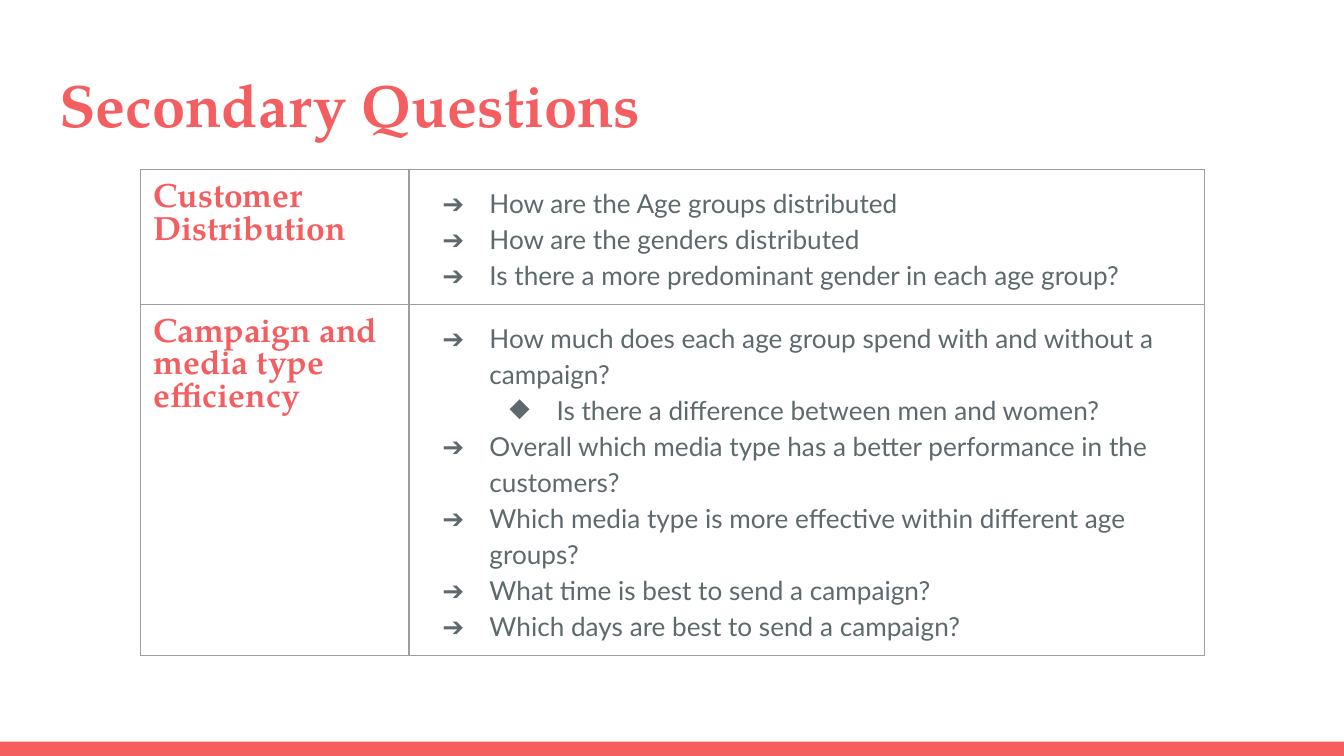
from lxml import etree
from pptx import Presentation
from pptx.dml.color import RGBColor
from pptx.enum import shapes, text
from pptx.oxml import ns
from pptx.util import Cm, Pt

HUES = {"coral": "F55E61", "slate": "5E696C", "rule": "9E9E9E"}
HEAD = {"name": "TeX Gyre Pagella", "bold": True}
BODY = {"name": "Lato", "bold": False, "size": Pt(14)}
PAD = Cm(0.25)
MARKS = ["➔", "◆"]
ROWS = [
    ("Customer Distribution", 2.55, [
        (0, "How are the Age groups distributed"),
        (0, "How are the genders distributed"),
        (0, "Is there a more predominant gender in each age group?"),
    ]),
    ("Campaign and media type efficiency", 6.63, [
        (0, "How much does each age group spend with and without a campaign?"),
        (1, "Is there a difference between men and women?"),
        (0, "Overall which media type has a better performance in the customers?"),
        (0, "Which media type is more effective within different age groups?"),
        (0, "What time is best to send a campaign?"),
        (0, "Which days are best to send a campaign?"),
    ]),
]


def write(para, words, form, hue, space=1.0):
    """Add a formatted run and set the line spacing."""
    para.line_spacing = space
    run = para.add_run()
    run.text = words
    for key, value in form.items():
        setattr(run.font, key, value)
    run.font.color.rgb = RGBColor.from_string(HUES[hue])


def add(parent, tag, **attrs):
    """Append a drawing element to an XML parent."""
    node = etree.SubElement(parent, ns.qn(tag))
    for key, value in attrs.items():
        node.set(key, str(value))
    return node


deck = Presentation()
deck.slide_width, deck.slide_height = Cm(25.4), Cm(14.29)
slide = deck.slides.add_slide(deck.slide_layouts[5])

# Bottom bar
bar = slide.shapes.add_shape(
    shapes.MSO_SHAPE.RECTANGLE, 0, Cm(14.02), deck.slide_width, Cm(0.27))
bar.shadow.inherit = False
bar.fill.solid()
bar.fill.fore_color.rgb = RGBColor.from_string(HUES["coral"])
bar.line.fill.background()

# Title
title = slide.shapes.title
title.left, title.top = Cm(0.87), Cm(1.09)
title.width, title.height = Cm(23.67), Cm(1.73)
frame = title.text_frame
FRAME = {
    "margin_left": PAD, "margin_right": PAD,
    "margin_top": PAD, "margin_bottom": PAD,
    "word_wrap": True, "auto_size": text.MSO_AUTO_SIZE.NONE,
    "vertical_anchor": text.MSO_ANCHOR.MIDDLE,
}
for key, value in FRAME.items():
    setattr(frame, key, value)
para = frame.paragraphs[0]
para.alignment = text.PP_ALIGN.LEFT
write(para, "Secondary Questions", {**HEAD, "size": Pt(32)}, "coral")

# Question table
table = slide.shapes.add_table(
    len(ROWS), 2, Cm(2.65), Cm(3.21), Cm(20.12), Cm(9.18)).table
table.first_row = table.horz_banding = False
table.columns[0].width, table.columns[1].width = Cm(5.08), Cm(15.04)

for row, (topic, high, asks) in enumerate(ROWS):
    table.rows[row].height = Cm(high)
    left, right = table.cell(row, 0), table.cell(row, 1)
    write(left.text_frame.paragraphs[0], topic,
          {**HEAD, "size": Pt(18)}, "coral")

    for index, (level, ask) in enumerate(asks):
        frame = right.text_frame
        para = frame.add_paragraph() if index else frame.paragraphs[0]
        para.level = level
        props = para._p.get_or_add_pPr()
        props.set("marL", str(Cm(1.27 * (level + 1))))
        props.set("indent", str(Cm(-0.89)))
        add(add(props, "a:buClr"), "a:srgbClr", val=HUES["slate"])
        if level == 0:
            add(props, "a:buFont", typeface="Lato")
        add(props, "a:buChar", char=MARKS[level])
        write(para, ask, BODY, "slate", 1.15)

    for cell in (left, right):
        for side in ("left", "right", "top", "bottom"):
            setattr(cell, f"margin_{side}", PAD)
        cell.vertical_anchor = text.MSO_ANCHOR.TOP
        props = cell._tc.get_or_add_tcPr()
        for side in "LRTB":
            line = add(props, f"a:ln{side}", w=Pt(0.75))
            add(add(line, "a:solidFill"), "a:srgbClr", val=HUES["rule"])
        cell.fill.background()

deck.save("out.pptx")
